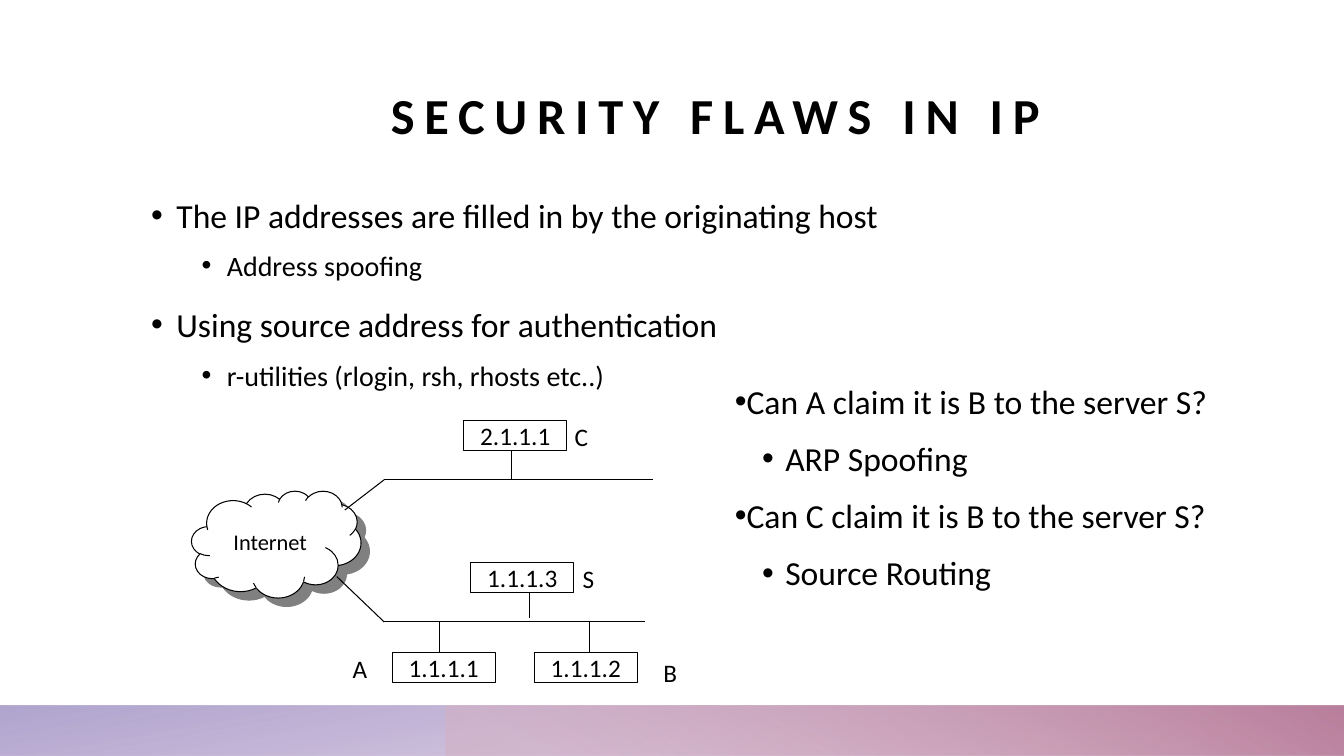
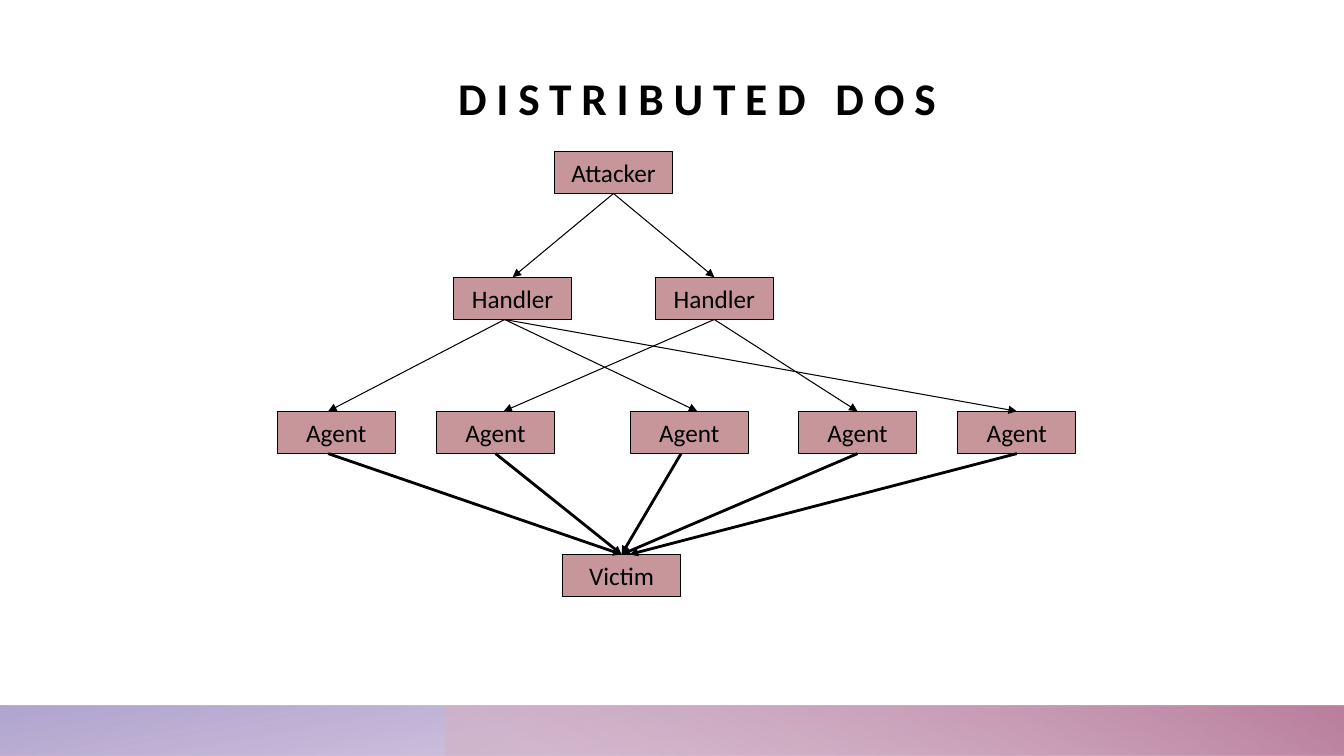
import pptx
import pptx.util
import pptx.dml.color
import pptx.enum.shapes
import pptx.enum.text
import pptx.oxml.ns
from lxml import etree

Inches = pptx.util.Inches
Pt = pptx.util.Pt
qn = pptx.oxml.ns.qn
color = pptx.dml.color.RGBColor.from_string
SHAPE = pptx.enum.shapes.MSO_SHAPE
ANCHOR = pptx.enum.text.MSO_ANCHOR
CENTER = pptx.enum.text.PP_ALIGN.CENTER

FONT = "Calibri"
BLACK = "000000"
WHITE = "FFFFFF"
ROSE = "C6969B"
TOP, BOTTOM = 0, 2


def add_box(slide, text, left, top, width, height, fill, size=18, kind=SHAPE.RECTANGLE):
    shape = slide.shapes.add_shape(kind, Inches(left), Inches(top), Inches(width), Inches(height))
    shape.shadow.inherit = False
    shape.fill.solid()
    shape.fill.fore_color.rgb = color(fill)
    shape.line.color.rgb = color(BLACK)
    shape.line.width = Pt(0.75)
    text_frame = shape.text_frame
    text_frame.text = text
    text_frame.word_wrap = False
    text_frame.vertical_anchor = ANCHOR.MIDDLE
    paragraph = text_frame.paragraphs[0]
    paragraph.alignment = CENTER
    paragraph.font.name = FONT
    paragraph.font.size = Pt(size)
    paragraph.font.color.rgb = color(BLACK)
    return shape


def add_line(slide, start, end, width=0.75, arrow=False):
    connector = slide.shapes.add_connector(
        pptx.enum.shapes.MSO_CONNECTOR.STRAIGHT,
        Inches(start[0]), Inches(start[1]), Inches(end[0]), Inches(end[1]))
    connector.line.color.rgb = color(BLACK)
    connector.line.width = Pt(width)
    properties = connector._element.spPr
    if arrow:
        etree.SubElement(properties.find(qn("a:ln")), qn("a:tailEnd"), type="triangle")
    etree.SubElement(properties, qn("a:effectLst"))
    return connector


presentation = pptx.Presentation()
presentation.slide_width = Inches(13.33)
presentation.slide_height = Inches(7.5)

bands = [
    (0, 13.33, 180, 260, [(0.14, "A67FBA", 28), (1, "A296C6", 85)]),
    (4.42, 8.92, 0, 120, [(0.09, "D6B2C4", 55), (0.99, "BA7F9D", 100)]),
]
titles = [
    ("SECURITY FLAWS IN IP", 36, 1.5, 0.56, 11.2, 0.87),
    ("DISTRIBUTED DOS", 32.4, 2.19, 0.72, 9.45, 0.52),
]
for title, size, left, top, width, height in titles:
    slide = presentation.slides.add_slide(presentation.slide_layouts[6])
    for band_left, band_width, rotation, angle, stops in bands:
        band = slide.shapes.add_shape(
            SHAPE.RECTANGLE, Inches(band_left), Inches(7), Inches(band_width), Inches(0.5))
        band.shadow.inherit = False
        band.line.fill.background()
        band.rotation = rotation
        properties = band._element.spPr
        properties.find(qn("a:xfrm")).set("flipH", "1")
        band.fill.gradient()
        band.fill.gradient_angle = angle
        for stop, (position, shade, opacity) in zip(band.fill.gradient_stops, stops):
            stop.position = position
            stop.color.rgb = color(shade)
        for element, (position, shade, opacity) in zip(properties.iter(qn("a:srgbClr")), stops):
            etree.SubElement(element, qn("a:alpha"), val=str(opacity * 1000))

    title_box = slide.shapes.add_textbox(Inches(left), Inches(top), Inches(width), Inches(height))
    text_frame = title_box.text_frame
    text_frame.text = title
    text_frame.word_wrap = True
    text_frame.vertical_anchor = ANCHOR.BOTTOM
    text_frame.margin_left = text_frame.margin_right = 0
    text_frame.margin_top = text_frame.margin_bottom = 0
    paragraph = text_frame.paragraphs[0]
    paragraph.alignment = CENTER
    run = paragraph.runs[0]
    run.font.name = FONT
    run.font.size = Pt(size)
    run.font.bold = True
    run.font.color.rgb = color(BLACK)
    run._r.get_or_add_rPr().set("spc", "700")

flaws_slide, dos_slide = presentation.slides

bullet_boxes = [
    ((1.5, 1.85, 11.2, 4.33), 0, 1.2, [(24, 10, 0.25, -0.25), (20, 5, 0.75, -0.25)], [
        (0, "The IP addresses are filled in by the originating host"),
        (1, "Address spoofing"),
        (0, "Using source address for authentication"),
        (1, "r-utilities (rlogin, rsh, rhosts etc..)"),
    ]),
    ((7.19, 3.73, 5.67, 2.32), 0.1, 1, [(24, 12, 0, 0), (24, 12, 0.5, -0.23)], [
        (0, "Can A claim it is B to the server S?"),
        (1, "ARP Spoofing"),
        (0, "Can C claim it is B to the server S?"),
        (1, "Source Routing"),
    ]),
]
for place, margin, line_spacing, levels, bullets in bullet_boxes:
    text_box = flaws_slide.shapes.add_textbox(*[Inches(length) for length in place])
    text_frame = text_box.text_frame
    text_frame.word_wrap = True
    text_frame.margin_left = text_frame.margin_right = Inches(margin)
    text_frame.margin_top = text_frame.margin_bottom = Inches(margin / 2)
    text_frame.text = "\n".join(text for level, text in bullets)
    for index, (paragraph, (level, text)) in enumerate(zip(text_frame.paragraphs, bullets)):
        size, space_before, indent, hanging = levels[level]
        paragraph.level = level
        paragraph.line_spacing = line_spacing
        paragraph.space_before = Pt(space_before if index else 0)
        properties = paragraph._p.get_or_add_pPr()
        properties.set("marL", str(Inches(indent)))
        properties.set("indent", str(Inches(hanging)))
        etree.SubElement(properties, qn("a:buFont"), typeface="Arial")
        etree.SubElement(properties, qn("a:buChar"), char="•")
        paragraph.font.name = FONT
        paragraph.font.size = Pt(size)
        paragraph.font.color.rgb = color(BLACK)

cloud = add_box(flaws_slide, "Internet", 1.9, 4.87, 1.68, 1.06, WHITE, 16, SHAPE.CLOUD)
shadow = etree.SubElement(
    cloud._element.spPr.find(qn("a:effectLst")), qn("a:outerShdw"),
    dist=str(Pt(8.5)), dir="2700000", algn="ctr", rotWithShape="0")
etree.SubElement(shadow, qn("a:srgbClr"), val="808080")

upper_bus, lower_bus, bus_left = 4.76, 6.17, 3.81
wires = [
    ((bus_left, upper_bus), (6.48, upper_bus)),
    ((bus_left, lower_bus), (6.4, lower_bus)),
    ((bus_left, upper_bus), (3.42, 5.06)),
    ((3.34, 5.72), (bus_left, lower_bus)),
    ((5.07, 4.46), (5.07, upper_bus)),
    ((5.25, 5.88), (5.25, 6.13)),
    ((4.36, lower_bus), (4.36, 6.47)),
    ((5.85, lower_bus), (5.85, 6.47)),
]
for start, end in wires:
    add_line(flaws_slide, start, end)

hosts = [
    ("2.1.1.1", 4.6, 4.17, "C", 5.6, 4.13),
    ("1.1.1.3", 4.67, 5.58, "S", 5.68, 5.54),
    ("1.1.1.1", 3.89, 6.47, "A", 3.4, 6.43),
    ("1.1.1.2", 5.3, 6.47, "B", 6.48, 6.47),
]
for address, left, top, name, name_left, name_top in hosts:
    add_box(flaws_slide, address, left, top, 1.02, 0.3, WHITE)
    label = flaws_slide.shapes.add_textbox(
        Inches(name_left), Inches(name_top), Inches(0.38), Inches(0.4))
    label.text_frame.text = name
    font = label.text_frame.paragraphs[0].runs[0].font
    font.name = FONT
    font.size = Pt(18)
    font.color.rgb = color(BLACK)

node_width, node_height = 1.17, 0.42
tiers = [
    ("Attacker", 1.5, [5.5]),
    ("Handler", 2.75, [4.5, 6.5]),
    ("Agent", 4.08, [2.75, 4.33, 6.25, 7.92, 9.5]),
    ("Victim", 5.5, [5.58]),
]
nodes = {}
for name, top, lefts in tiers:
    for number, left in enumerate(lefts, 1):
        node = add_box(dos_slide, name, left, top, node_width, node_height, ROSE)
        nodes[name, number] = (node, left + node_width / 2, top)

links = [
    (("Attacker", 1), 0, ("Handler", 1), 0, 0.75),
    (("Attacker", 1), 0, ("Handler", 2), 0, 0.75),
    (("Handler", 1), -0.08, ("Agent", 1), -0.08, 0.75),
    (("Handler", 1), -0.08, ("Agent", 3), 0.08, 0.75),
    (("Handler", 1), -0.08, ("Agent", 5), 0, 0.75),
    (("Handler", 2), 0, ("Agent", 2), 0.08, 0.75),
    (("Handler", 2), 0, ("Agent", 4), 0, 0.75),
    (("Agent", 1), -0.08, ("Victim", 1), 0, 2),
    (("Agent", 2), 0, ("Victim", 1), 0, 2),
    (("Agent", 3), -0.08, ("Victim", 1), 0, 2),
    (("Agent", 4), 0, ("Victim", 1), 0, 2),
    (("Agent", 5), 0, ("Victim", 1), 0.08, 2),
]
for source, source_shift, target, target_shift, width in links:
    source_node, source_middle, source_top = nodes[source]
    target_node, target_middle, target_top = nodes[target]
    connector = add_line(
        dos_slide, (source_middle + source_shift, source_top + node_height),
        (target_middle + target_shift, target_top), width, arrow=True)
    if source_shift == 0:
        connector.begin_connect(source_node, BOTTOM)
    if target_shift == 0:
        connector.end_connect(target_node, TOP)

presentation.save("out.pptx")
